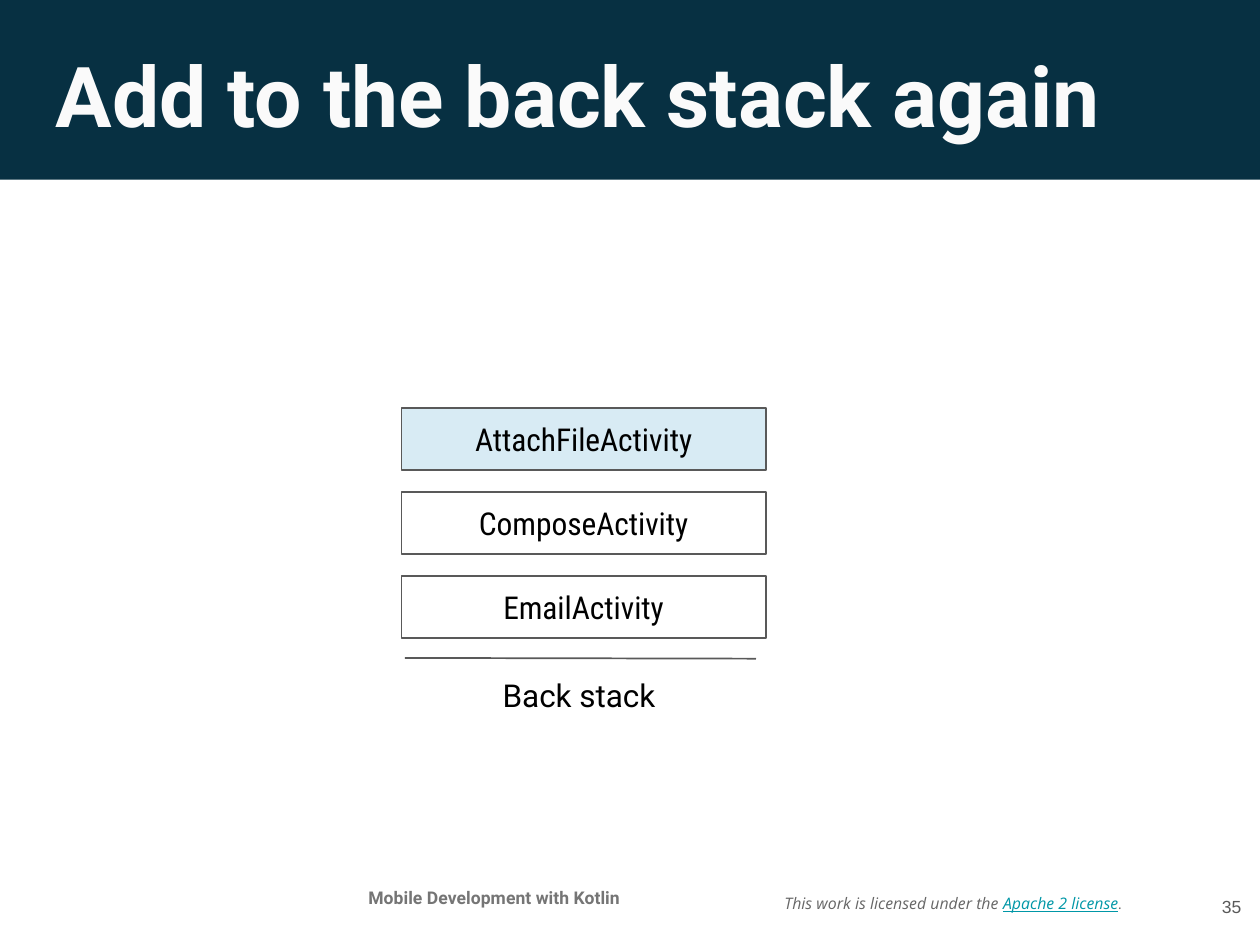
from dataclasses import dataclass

from lxml.etree import SubElement
from pptx import Presentation
from pptx.dml.color import RGBColor
from pptx.enum.shapes import MSO_CONNECTOR, MSO_SHAPE
from pptx.enum.text import MSO_ANCHOR, MSO_AUTO_SIZE, PP_ALIGN
from pptx.oxml.ns import qn
from pptx.shapes.autoshape import Shape
from pptx.slide import Slide
from pptx.util import Cm, Pt


@dataclass(frozen=True)
class Theme:
    band: str = "073042"
    title: str = "FAFAFA"
    course: str = "757575"
    muted: str = "666666"
    link: str = "0097A7"
    outline: str = "595959"
    ink: str = "000000"
    paper: str = "FFFFFF"
    highlight: str = "0E87C0"
    highlight_alpha: int = 16
    heading: str = "Roboto"
    activity: str = "Roboto Condensed"
    license: str = "Open Sans"
    number: str = "Arial"
    title_size: float = 36
    label_size: float = 13.5
    footer_size: float = 7.5
    license_size: float = 6.8
    line_width: float = 0.75
    inset: float = 0.18


@dataclass(frozen=True)
class Box:
    left: float
    top: float
    width: float
    height: float

    def lengths(self) -> tuple[Cm, Cm, Cm, Cm]:
        return Cm(self.left), Cm(self.top), Cm(self.width), Cm(self.height)


@dataclass(frozen=True)
class Piece:
    text: str
    face: str
    size: float
    color: str
    bold: bool = False
    italic: bool = False
    underline: bool = False


@dataclass(frozen=True)
class Label:
    box: Box
    pieces: tuple[Piece, ...]
    align: PP_ALIGN = PP_ALIGN.CENTER
    anchor: MSO_ANCHOR = MSO_ANCHOR.MIDDLE


@dataclass(frozen=True)
class Activity:
    name: str
    fill: str | None = None
    alpha: int = 100


THEME = Theme()

# Back stack, from its top entry down
ACTIVITIES = (
    Activity("AttachFileActivity", THEME.highlight, THEME.highlight_alpha),
    Activity("ComposeActivity"),
    Activity("EmailActivity", THEME.paper),
)
STACK_TOP = Box(6.07, 6.17, 5.51, 0.94)
STACK_PITCH = 1.27

TITLE = Label(
    Box(0.66, 0.48, 17.75, 1.6),
    (Piece("Add to the back stack again", THEME.heading, THEME.title_size, THEME.title, bold=True),),
    PP_ALIGN.LEFT, MSO_ANCHOR.TOP,
)
LABELS = (
    Label(
        Box(11.68, 13.06, 5.59, 1.19),
        (
            Piece("This work is licensed under the ", THEME.license, THEME.license_size,
                  THEME.muted, italic=True),
            Piece("Apache 2 license", THEME.license, THEME.license_size,
                  THEME.link, italic=True, underline=True),
            Piece(".", THEME.heading, THEME.license_size, THEME.muted, italic=True),
        ),
        PP_ALIGN.LEFT,
    ),
    Label(
        Box(4.78, 13.23, 5.38, 0.81),
        (Piece("Mobile Development with Kotlin", THEME.heading, THEME.footer_size,
               THEME.course, bold=True),),
        anchor=MSO_ANCHOR.TOP,
    ),
    Label(
        Box(17.81, 13.16, 1.14, 1.09),
        (Piece("35", THEME.number, THEME.footer_size, THEME.outline),),
        PP_ALIGN.RIGHT,
    ),
    Label(
        Box(6.43, 10.26, 4.65, 0.51),
        (Piece("Back stack", THEME.heading, THEME.label_size, THEME.ink),),
    ),
)


def write(holder: Shape, label: Label) -> None:
    frame = holder.text_frame
    inset = Cm(THEME.inset)
    frame_format = {
        "word_wrap": True, "auto_size": MSO_AUTO_SIZE.NONE, "vertical_anchor": label.anchor,
        "margin_left": inset, "margin_top": inset, "margin_right": inset, "margin_bottom": inset,
    }
    for key, value in frame_format.items():
        setattr(frame, key, value)
    paragraph = frame.paragraphs[0]
    paragraph.alignment = label.align
    for piece in label.pieces:
        run = paragraph.add_run()
        run.text = piece.text
        font_format = {
            "name": piece.face, "size": Pt(piece.size), "bold": piece.bold,
            "italic": piece.italic, "underline": piece.underline,
        }
        for key, value in font_format.items():
            setattr(run.font, key, value)
        run.font.color.rgb = RGBColor.from_string(piece.color)


def draw_title(slide: Slide) -> None:
    title = slide.shapes.title
    title.left, title.top, title.width, title.height = TITLE.box.lengths()
    write(title, TITLE)

    # Band behind the title
    band = slide.shapes.add_shape(MSO_SHAPE.RECTANGLE, *Box(-0.03, -0.1, 19.08, 2.82).lengths())
    band.shadow.inherit = False
    band.fill.solid()
    band.fill.fore_color.rgb = RGBColor.from_string(THEME.band)
    band.line.fill.background()
    title.element.addprevious(band.element)


def draw_activity(slide: Slide, activity: Activity, box: Box) -> None:
    entry = slide.shapes.add_shape(MSO_SHAPE.RECTANGLE, *box.lengths())
    entry.shadow.inherit = False
    entry.line.color.rgb = RGBColor.from_string(THEME.outline)
    entry.line.width = Pt(THEME.line_width)
    if activity.fill is None:
        entry.fill.background()
    else:
        entry.fill.solid()
        entry.fill.fore_color.rgb = RGBColor.from_string(activity.fill)
        if activity.alpha < 100:
            color = entry.element.spPr.find(qn("a:solidFill")).find(qn("a:srgbClr"))
            SubElement(color, qn("a:alpha"), val=str(activity.alpha * 1000))
    name = Piece(activity.name, THEME.activity, THEME.label_size, THEME.ink)
    write(entry, Label(box, (name,)))


def draw_stack(slide: Slide) -> None:
    for row, activity in enumerate(ACTIVITIES):
        top = STACK_TOP.top + row * STACK_PITCH
        draw_activity(slide, activity, Box(STACK_TOP.left, top, STACK_TOP.width, STACK_TOP.height))

    # Floor of the stack
    floor = slide.shapes.add_connector(
        MSO_CONNECTOR.STRAIGHT, Cm(6.12), Cm(9.95), Cm(11.43), Cm(9.96))
    floor.line.color.rgb = RGBColor.from_string(THEME.outline)
    floor.line.width = Pt(THEME.line_width)
    SubElement(floor.element.spPr, qn("a:effectLst"))


def main() -> None:
    deck = Presentation()
    deck.slide_width, deck.slide_height = Cm(19.05), Cm(14.29)
    slide = deck.slides.add_slide(deck.slide_layouts.get_by_name("Title Only"))
    draw_title(slide)
    draw_stack(slide)
    # Footer texts and stack caption
    for label in LABELS:
        write(slide.shapes.add_textbox(*label.box.lengths()), label)
    deck.save("out.pptx")


if __name__ == "__main__":
    main()
